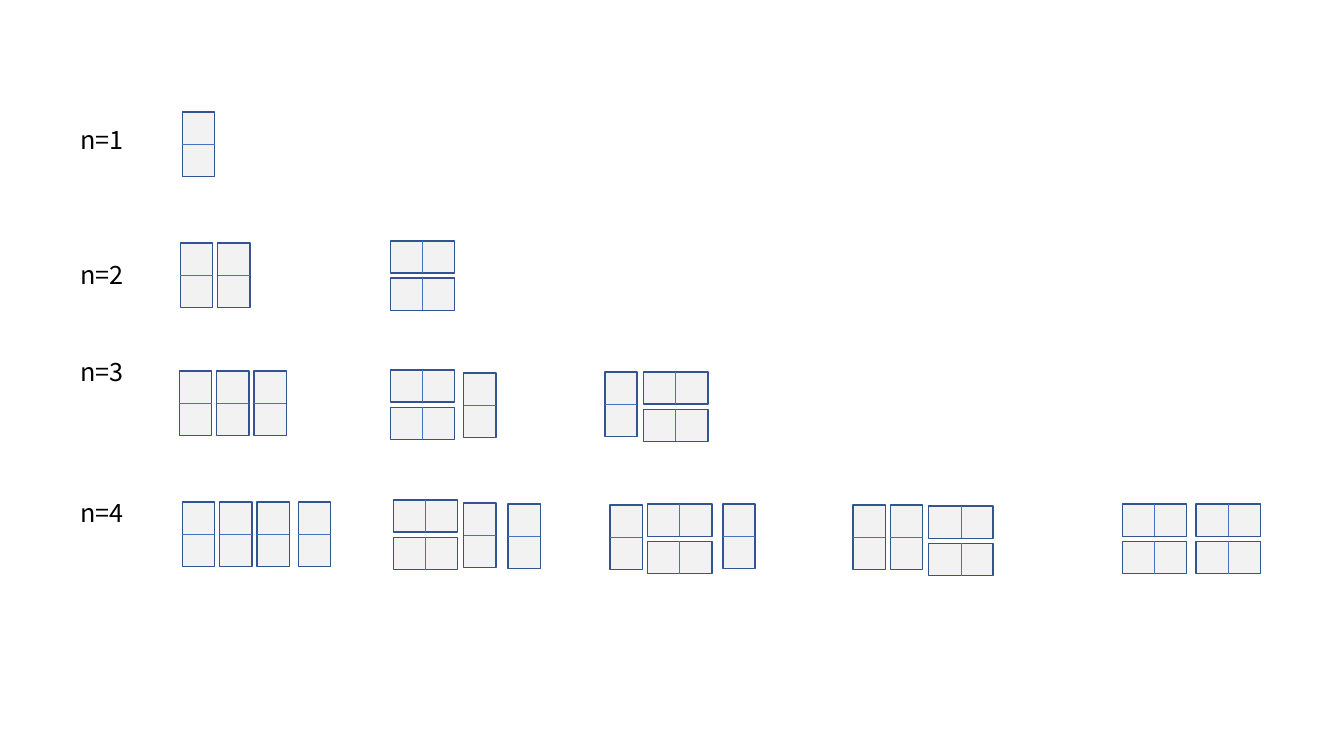
from dataclasses import dataclass

from lxml.etree import SubElement
from pptx import Presentation
from pptx.dml.color import RGBColor as Rgb
from pptx.enum.shapes import MSO_CONNECTOR as Connector, MSO_SHAPE as Preset
from pptx.enum.text import MSO_AUTO_SIZE as AutoSize
from pptx.oxml.ns import qn
from pptx.slide import Slide
from pptx.util import Inches, Pt

COLORS = {"tile": "F2F2F2", "edge": "325491", "seam": "4472C4", "label": "000000"}
FONT = "Noto Sans CJK SC"

# Grid: ten columns and ten rows to the inch
SHORT, LONG = 3.2, 6.4  # sides of a domino
PITCH = 3.7  # step from one domino to the next
LABEL_LEFT, LABEL_WIDTH, LABEL_HEIGHT = 7, 6.4, 4


@dataclass(frozen=True)
class Block:
    """Dominoes at one pitch: upright side by side, or lying in a stack."""
    left: float
    top: float
    count: int = 1
    lying: bool = False


@dataclass(frozen=True)
class Case:
    label: str
    label_top: float
    blocks: tuple[Block, ...]


def pair(left: float, top: float) -> Block:
    return Block(left, top, count=2, lying=True)


CASES = (
    Case("n=1", 11.8, (Block(18.1, 11.1),)),
    Case("n=2", 25.2, (Block(17.9, 24.1, 2), pair(38.7, 23.9))),
    Case("n=3", 34.9, (
        Block(17.8, 36.8, 3),
        pair(38.7, 36.7), Block(46, 37),
        Block(60, 36.9), pair(63.8, 36.9),
    )),
    Case("n=4", 48.8, (
        Block(18.1, 49.8, 3), Block(29.6, 49.8),
        pair(39, 49.6), Block(46, 49.9), Block(50.4, 50),
        Block(60.5, 50.1), pair(64.2, 50), Block(71.7, 50),
        Block(84.6, 50.1, 2), pair(92.1, 50.2),
        pair(111.3, 50), pair(118.6, 50),
    )),
)


def grid(units: float) -> int:
    return Inches(units / 10)


def add_text(slide: Slide, text: str, left: float, top: float, *, width: float,
             height: float, size: float, color: str) -> None:
    box = slide.shapes.add_textbox(grid(left), grid(top), grid(width), grid(height))
    frame = box.text_frame
    frame.word_wrap = False
    frame.auto_size = AutoSize.SHAPE_TO_FIT_TEXT
    run = frame.paragraphs[0].add_run()
    run.text = text
    run.font.name = FONT
    run.font.size = Pt(size)
    run.font.color.rgb = Rgb.from_string(COLORS[color])


def add_domino(slide: Slide, left: float, top: float, lying: bool) -> None:
    """Draw an upright domino, turned about its centre if it is lying."""
    if lying:
        shift = (LONG - SHORT) / 2
        left, top = left + shift, top - shift
    domino = slide.shapes.add_group_shape()

    tile = domino.shapes.add_shape(
        Preset.RECTANGLE, grid(left), grid(top), grid(SHORT), grid(LONG))
    tile.shadow.inherit = False
    tile.fill.solid()
    tile.fill.fore_color.rgb = Rgb.from_string(COLORS["tile"])
    tile.line.color.rgb = Rgb.from_string(COLORS["edge"])
    tile.line.width = Pt(1)

    middle = grid(top + LONG / 2)
    seam = domino.shapes.add_connector(
        Connector.STRAIGHT, grid(left), middle, grid(left + SHORT), middle)
    seam.begin_connect(tile, 1)
    seam.end_connect(tile, 3)
    seam.line.color.rgb = Rgb.from_string(COLORS["seam"])
    seam.line.width = Pt(0.5)
    SubElement(seam._element.spPr, qn("a:effectLst"))

    if lying:
        domino.rotation = 90


def add_block(slide: Slide, block: Block) -> None:
    for step in range(block.count):
        offset = step * PITCH
        if block.lying:
            add_domino(slide, block.left, block.top + offset, True)
        else:
            add_domino(slide, block.left + offset, block.top, False)


def main() -> None:
    deck = Presentation()
    deck.slide_width, deck.slide_height = Inches(13.33), Inches(7.5)
    slide = deck.slides.add_slide(deck.slide_layouts[6])

    # Labels
    for case in CASES:
        add_text(slide, case.label, LABEL_LEFT, case.label_top, width=LABEL_WIDTH,
                 height=LABEL_HEIGHT, size=18, color="label")

    # Domino tilings
    for case in CASES:
        for block in case.blocks:
            add_block(slide, block)

    deck.save("out.pptx")


if __name__ == "__main__":
    main()
